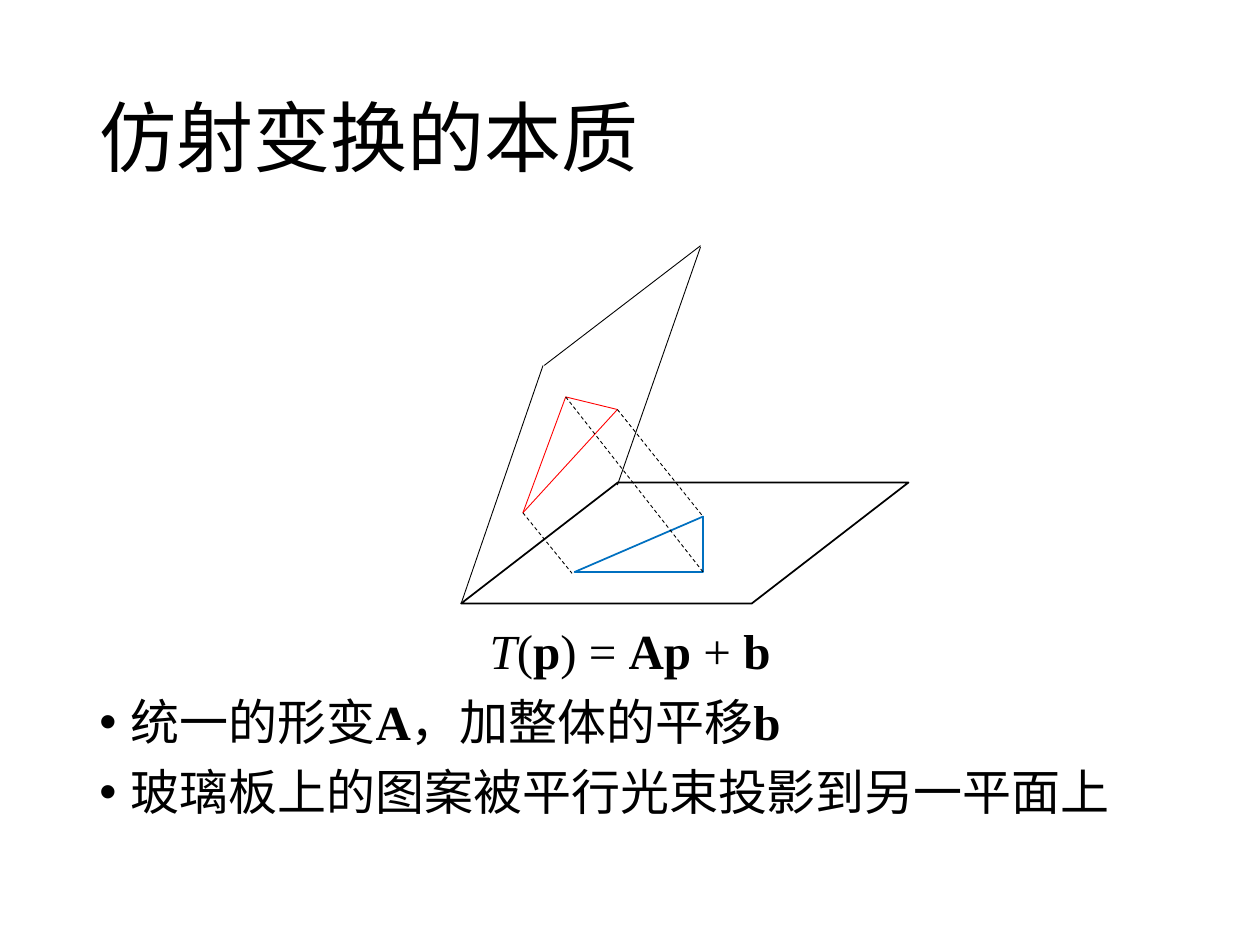
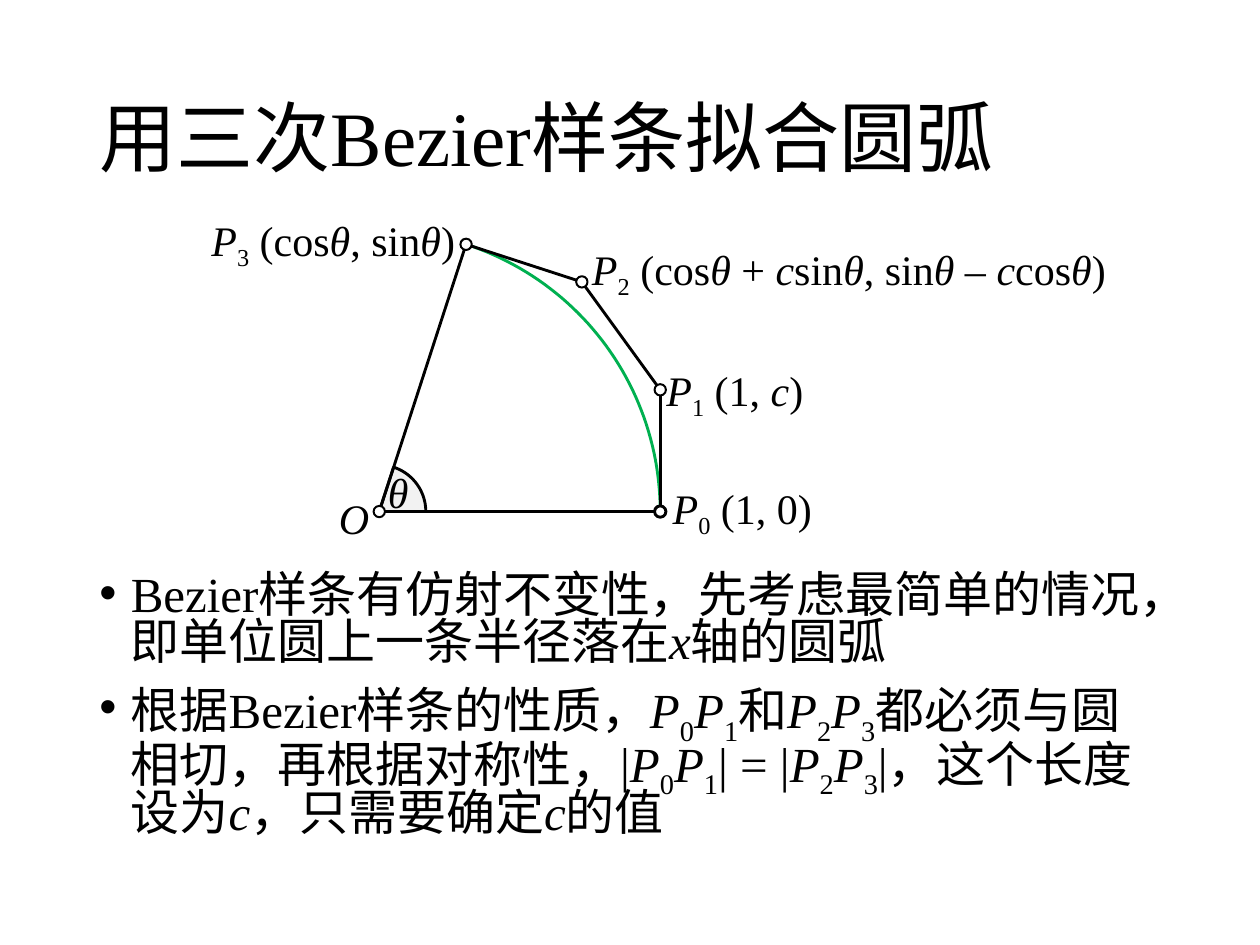
import math

import lxml.etree
import pptx
import pptx.dml.color
import pptx.enum.dml
import pptx.enum.shapes
import pptx.enum.text
import pptx.oxml.ns
import pptx.util

Inches, Pt = pptx.util.Inches, pptx.util.Pt
RGBColor = pptx.dml.color.RGBColor
SHAPE = pptx.enum.shapes.MSO_SHAPE
ALIGN = pptx.enum.text.PP_ALIGN
ANCHOR = pptx.enum.text.MSO_ANCHOR
qn = pptx.oxml.ns.qn

BLACK = RGBColor(0, 0, 0)
WHITE = RGBColor(255, 255, 255)
RED = RGBColor(255, 0, 0)
BLUE = RGBColor(0, 0x70, 0xC0)
GREEN = RGBColor(0, 0xB0, 0x50)
PALE_GREY = RGBColor(0xF2, 0xF2, 0xF2)
LATIN_FONT, CHINESE_FONT = "Times New Roman", "Noto Sans CJK SC"
MARGIN, CONTENT_WIDTH = 0.69, 8.62

# In all texts /.../ is italic, #...# bold and _..._ subscript.
MARKS = {"/": "italic", "#": "bold", "_": "subscript"}

AFFINE_TITLE = "仿射变换的本质"
AFFINE_FORMULA = "/T/(#p#) = #Ap# + #b#"
AFFINE_POINTS = ["统一的形变#A#，加整体的平移#b#", "玻璃板上的图案被平行光束投影到另一平面上"]
GLASS_EDGES = [((3.66, 4.79), (4.31, 2.9)), ((4.9, 3.85), (5.56, 1.96)),
               ((4.32, 2.9), (5.56, 1.95))]
PATTERN = [(4.15, 4.07), (4.49, 3.15), (4.9, 3.25)]
PROJECTION = [(4.54, 4.55), (5.58, 4.54), (5.58, 4.1)]

BEZIER_TITLE = "用三次Bezier样条拟合圆弧"
BEZIER_POINTS = [
    "Bezier样条有仿射不变性，先考虑最简单的情况，即单位圆上一条半径落在/x/轴的圆弧",
    "根据Bezier样条的性质，/P/_0_/P/_1_和/P/_2_/P/_3_都必须与圆相切，再根据对称性，"
    "|/P/_0_/P/_1_| = |/P/_2_/P/_3_|，这个长度设为/c/，只需要确定/c/的值",
]
LABELS = [
    ("/P/_0_ (1, 0)", 5.24, 3.78, 1.33),
    ("/O/", 2.59, 3.86, 0.45),
    ("/P/_1_ (1, /c/)", 5.19, 2.84, 1.31),
    ("/P/_3_ (cos/θ/, sin/θ/)", 1.58, 1.65, 2.16),
    ("/P/_2_ (cos/θ/ + /c/sin/θ/, sin/θ/ – /c/cos/θ/)", 4.6, 1.88, 4.33),
    ("/θ/", 2.98, 3.65, 0.37),
]
CENTRE, RADIUS, ANGLE_RADIUS = (3.01, 4.06), 2.23, 0.37
THETA = math.radians(72)
HANDLE = 4 / 3 * math.tan(THETA / 4)
DRAWING_WIDTH, KNOT_WIDTH, KNOT_SIZE = 1.63, 1.13, 0.09


def split_marks(text):
    """Yield (piece, set of active styles) for marked text."""
    active, piece = set(), ""
    for char in text:
        if char not in MARKS:
            piece += char
            continue
        if piece:
            yield piece, set(active)
        active ^= {MARKS[char]}
        piece = ""
    if piece:
        yield piece, active


def write(para, text, size):
    for piece, styles in split_marks(text):
        span = para.add_run()
        span.text = piece
        font = span.font
        font.size, font.name = Pt(size), LATIN_FONT
        font.color.rgb = BLACK
        font.italic, font.bold = "italic" in styles, "bold" in styles
        properties = span._r.get_or_add_rPr()
        properties.set("lang", "zh-CN")
        if "subscript" in styles:
            properties.set("baseline", "-25000")
        east_asian = lxml.etree.SubElement(properties, qn("a:ea"))
        east_asian.set("typeface", CHINESE_FONT)


def add_bullet(para):
    properties = para._p.get_or_add_pPr()
    properties.set("marL", str(Inches(0.25)))
    properties.set("indent", str(-Inches(0.25)))
    lxml.etree.SubElement(properties, qn("a:buFont")).set("typeface", "Arial")
    lxml.etree.SubElement(properties, qn("a:buChar")).set("char", "•")


def add_titled_page(deck, title):
    page = deck.slides.add_slide(deck.slide_layouts[5])
    box = page.shapes.title
    box.left, box.top = Inches(MARGIN), Inches(0.4)
    box.width, box.height = Inches(CONTENT_WIDTH), Inches(1.45)
    box.text_frame.vertical_anchor = ANCHOR.MIDDLE
    para = box.text_frame.paragraphs[0]
    para.alignment, para.line_spacing = ALIGN.LEFT, 0.9
    write(para, title, 44)
    return page


def add_body(page, top, height, line_spacing, bullets, formula=None):
    box = page.shapes.add_textbox(Inches(MARGIN), Inches(top),
                                  Inches(CONTENT_WIDTH), Inches(height))
    frame = box.text_frame
    frame.word_wrap = True
    texts = ([formula] if formula else []) + bullets
    for index, text in enumerate(texts):
        para = frame.add_paragraph() if index else frame.paragraphs[0]
        para.line_spacing, para.space_before = line_spacing, Pt(10)
        if text == formula:
            para.alignment = ALIGN.CENTER
        else:
            add_bullet(para)
        write(para, text, 28)


def add_label(page, text, left, top, width):
    box = page.shapes.add_textbox(Inches(left), Inches(top), Inches(width), Inches(0.5))
    box.text_frame.word_wrap = False
    write(box.text_frame.paragraphs[0], text, 24)


def add_line(page, start, end, width, color=BLACK, dashed=False):
    line = page.shapes.add_connector(pptx.enum.shapes.MSO_CONNECTOR.STRAIGHT,
                                     *(Inches(value) for value in (*start, *end)))
    line.line.width = Pt(width)
    line.line.color.rgb = color
    if dashed:
        line.line.dash_style = pptx.enum.dml.MSO_LINE.DASH
    lxml.etree.SubElement(line._element.spPr, qn("a:effectLst"))


def style(shape, width, color=BLACK, fill=None):
    shape.shadow.inherit = False
    shape.line.width = Pt(width)
    shape.line.color.rgb = color
    if fill is None:
        shape.fill.background()
    else:
        shape.fill.solid()
        shape.fill.fore_color.rgb = fill


def add_preset(page, kind, left, top, width, height):
    return page.shapes.add_shape(kind, *(Inches(value) for value in (left, top, width, height)))


def add_outline(page, points, close):
    points = [(Inches(x), Inches(y)) for x, y in points]
    builder = page.shapes.build_freeform(*points[0])
    builder.add_line_segments(points[1:], close=close)
    return builder.convert_to_shape()


def on_plane(x, y):
    """Turn unit-circle coordinates into slide inches."""
    return CENTRE[0] + RADIUS * x, CENTRE[1] - RADIUS * y


def arc_points(radius, steps=48):
    scale = radius / RADIUS
    angles = (THETA * step / steps for step in range(steps + 1))
    return [on_plane(scale * math.cos(angle), scale * math.sin(angle)) for angle in angles]


def build_affine_page(deck):
    page = add_titled_page(deck, AFFINE_TITLE)
    add_body(page, 4.93, 1.83, 0.9, AFFINE_POINTS, AFFINE_FORMULA)
    ground = add_preset(page, SHAPE.PARALLELOGRAM, 3.66, 3.83, 3.55, 0.96)
    ground.adjustments[0] = 1.295
    style(ground, 1, fill=WHITE)
    for start, end in GLASS_EDGES:
        add_line(page, start, end, 0.5)
    shadow = add_preset(page, SHAPE.ISOSCELES_TRIANGLE, 4.56, 4.1, 1.02, 0.44)
    shadow.adjustments[0] = 1
    style(shadow, 1, BLUE)
    for start, end in zip(PATTERN, PATTERN[1:] + PATTERN[:1]):
        add_line(page, start, end, 0.5, RED)
    for corner, image in zip(PATTERN, PROJECTION):
        add_line(page, corner, image, 0.5, dashed=True)


def build_bezier_page(deck):
    page = add_titled_page(deck, BEZIER_TITLE)
    add_body(page, 4.51, 2.25, 0.8, BEZIER_POINTS)
    style(add_outline(page, arc_points(RADIUS), close=False), DRAWING_WIDTH, GREEN)
    sector = add_outline(page, arc_points(ANGLE_RADIUS) + [CENTRE], close=True)
    style(sector, DRAWING_WIDTH, fill=PALE_GREY)

    cos, sin = math.cos(THETA), math.sin(THETA)
    knots = [CENTRE, on_plane(1, 0), on_plane(1, HANDLE),
             on_plane(cos + HANDLE * sin, sin - HANDLE * cos), on_plane(cos, sin)]
    for start, end in zip(knots, knots[1:] + knots[:1]):
        add_line(page, start, end, DRAWING_WIDTH)
    for index, (x, y) in enumerate(knots):
        knot = add_preset(page, SHAPE.OVAL, x - KNOT_SIZE / 2, y - KNOT_SIZE / 2,
                          KNOT_SIZE, KNOT_SIZE)
        style(knot, DRAWING_WIDTH if index == 1 else KNOT_WIDTH, fill=WHITE)
    for label in LABELS:
        add_label(page, *label)


def main():
    deck = pptx.Presentation()
    deck.slide_width, deck.slide_height = Inches(10), Inches(7.5)
    build_affine_page(deck)
    build_bezier_page(deck)
    deck.save("out.pptx")


if __name__ == "__main__":
    main()
